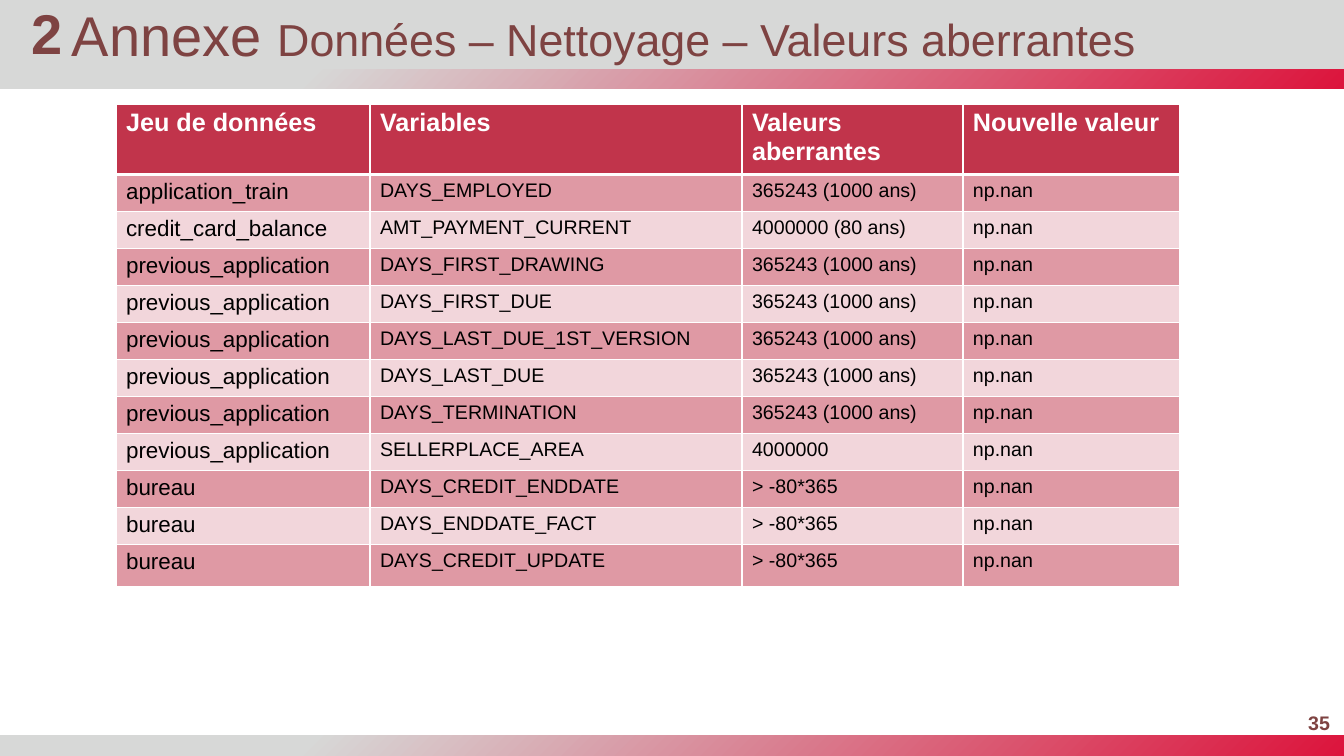
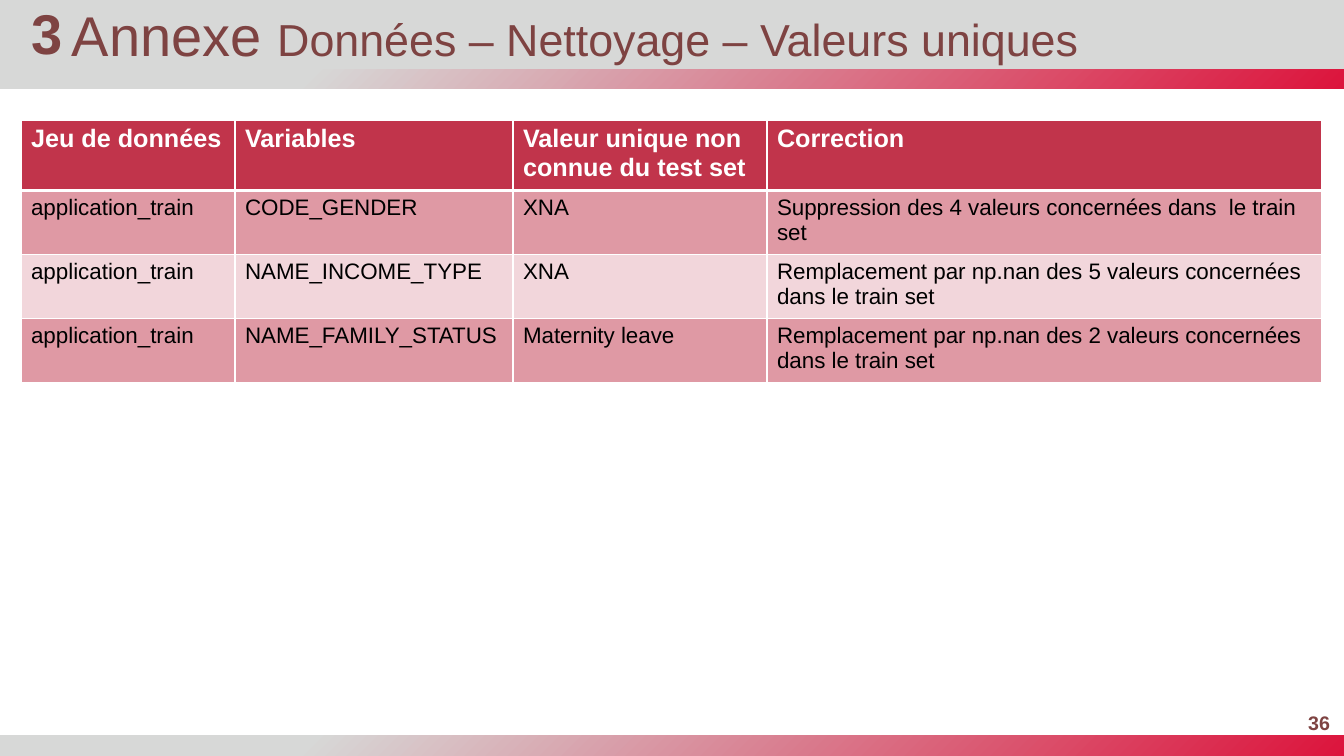
from lxml.etree import SubElement
from pptx import Presentation
from pptx.dml.color import RGBColor
from pptx.enum.shapes import MSO_SHAPE
from pptx.enum.text import MSO_ANCHOR, PP_ALIGN
from pptx.oxml import parse_xml
from pptx.oxml.ns import nsdecls, qn
from pptx.util import Pt

WIDTH, HEIGHT = 1344, 756
SCALE = 12192000 / WIDTH
FONT = "Arial"
COLORS = {
    "title": "7E4342",
    "band": "D7D8D7",
    "accent": "DC143C",
    "table": "C1344B",
    "white": "FFFFFF",
    "black": "000000",
}
TITLE_FORMAT = {"size": Pt(40), "bold": False}
SUBTITLE_FORMAT = {"size": Pt(32), "bold": False}
SECTION_FORMAT = {"size": Pt(40), "bold": True}
PAGE_FORMAT = {"size": Pt(14), "bold": True}
HEADER_FORMAT = {"size": Pt(18), "bold": True}
BAND_HEIGHT = 21
HEADER_HEIGHT = 70
STRIPE_ALPHAS = (50, 20)

MILLENNIUM = "365243 (1000 ans)"
FUTURE = "> -80*365"
SLIDES = [
    {
        "section": "2",
        "page": "35",
        "subtitle": "Données – Nettoyage – Valeurs aberrantes",
        "at": (116, 104),
        "columns": [254, 372, 221, 217],
        "rows": [HEADER_HEIGHT] + [37] * 10 + [42],
        "sizes": [16, 14, 14, 14],
        "cells": [
            ("Jeu de données", "Variables", "Valeurs aberrantes", "Nouvelle valeur"),
            ("application_train", "DAYS_EMPLOYED", MILLENNIUM, "np.nan"),
            ("credit_card_balance", "AMT_PAYMENT_CURRENT", "4000000 (80 ans)", "np.nan"),
            ("previous_application", "DAYS_FIRST_DRAWING", MILLENNIUM, "np.nan"),
            ("previous_application", "DAYS_FIRST_DUE", MILLENNIUM, "np.nan"),
            ("previous_application", "DAYS_LAST_DUE_1ST_VERSION", MILLENNIUM, "np.nan"),
            ("previous_application", "DAYS_LAST_DUE", MILLENNIUM, "np.nan"),
            ("previous_application", "DAYS_TERMINATION", MILLENNIUM, "np.nan"),
            ("previous_application", "SELLERPLACE_AREA", "4000000", "np.nan"),
            ("bureau", "DAYS_CREDIT_ENDDATE", FUTURE, "np.nan"),
            ("bureau", "DAYS_ENDDATE_FACT", FUTURE, "np.nan"),
            ("bureau", "DAYS_CREDIT_UPDATE", FUTURE, "np.nan"),
        ],
    },
    {
        "section": "3",
        "page": "36",
        "subtitle": "Données – Nettoyage – Valeurs uniques",
        "at": (21, 120),
        "columns": [214, 278, 254, 555],
        "rows": [HEADER_HEIGHT] + [64] * 3,
        "sizes": [16] * 4,
        "cells": [
            ("Jeu de données", "Variables", "Valeur unique non connue du test set", "Correction"),
            ("application_train", "CODE_GENDER", "XNA",
             "Suppression des 4 valeurs concernées dans  le train set"),
            ("application_train", "NAME_INCOME_TYPE", "XNA",
             "Remplacement par np.nan des 5 valeurs concernées dans le train set"),
            ("application_train", "NAME_FAMILY_STATUS", "Maternity leave",
             "Remplacement par np.nan des 2 valeurs concernées dans le train set"),
        ],
    },
]


def px(*lengths):
    return [round(length * SCALE) for length in lengths]


def add_run(paragraph, text, color, font_format):
    run = paragraph.add_run()
    run.text = text
    run.font.name = FONT
    run.font.color.rgb = RGBColor.from_string(COLORS[color])
    for name, value in font_format.items():
        setattr(run.font, name, value)


def add_text(slide, box, runs, alignment, anchor, line_spacing=None):
    frame = slide.shapes.add_textbox(*px(*box)).text_frame
    frame.word_wrap = True
    frame.vertical_anchor = anchor
    paragraph = frame.paragraphs[0]
    paragraph.alignment = alignment
    paragraph.line_spacing = line_spacing
    for text, font_format in runs:
        add_run(paragraph, text, "title", font_format)


def add_band(slide, top, height):
    shape = slide.shapes.add_shape(MSO_SHAPE.RECTANGLE, *px(0, top, WIDTH, height))
    shape.shadow.inherit = False
    shape.line.fill.background()
    shape.fill.solid()
    shape.fill.fore_color.rgb = RGBColor.from_string(COLORS["band"])
    return shape


def add_gradient_band(slide, top):
    properties = add_band(slide, top, BAND_HEIGHT).element.spPr
    gradient = parse_xml(
        f'<a:gradFill {nsdecls("a")} rotWithShape="1"><a:gsLst>'
        f'<a:gs pos="0"><a:srgbClr val="{COLORS["accent"]}"/></a:gs>'
        f'<a:gs pos="77000"><a:srgbClr val="{COLORS["band"]}"/></a:gs></a:gsLst>'
        '<a:path path="circle"><a:fillToRect l="100000" t="100000"/></a:path>'
        '<a:tileRect r="-100000" b="-100000"/></a:gradFill>'
    )
    properties.replace(properties.find(qn("a:solidFill")), gradient)


def add_frame(slide, content):
    add_text(slide, (1296, 703, 44, 40), [(content["page"], PAGE_FORMAT)],
             PP_ALIGN.RIGHT, MSO_ANCHOR.MIDDLE)
    add_gradient_band(slide, 68)
    add_band(slide, 0, 69)
    add_text(slide, (62, 7, 1282, 66),
             [("Annexe ", TITLE_FORMAT), (content["subtitle"], SUBTITLE_FORMAT)],
             PP_ALIGN.LEFT, MSO_ANCHOR.MIDDLE, 0.8)
    add_gradient_band(slide, HEIGHT - BAND_HEIGHT)
    add_text(slide, (22, -6, 25, 78), [(content["section"], SECTION_FORMAT)],
             PP_ALIGN.CENTER, MSO_ANCHOR.TOP)


def style_cell(cell, row):
    cell.fill.solid()
    cell.fill.fore_color.rgb = RGBColor.from_string(COLORS["table"])
    properties = cell._tc.get_or_add_tcPr()
    if row:
        alpha = STRIPE_ALPHAS[(row - 1) % 2]
        color = properties.find(qn("a:solidFill"))[0]
        SubElement(color, qn("a:alpha"), val=str(alpha * 1000))
    widths = {"L": 1, "R": 1, "T": 3 if row == 1 else 1, "B": 3 if row == 0 else 1}
    for index, (side, width) in enumerate(widths.items()):
        properties.insert(index, parse_xml(
            f'<a:ln{side} {nsdecls("a")} w="{Pt(width)}"><a:solidFill>'
            f'<a:srgbClr val="{COLORS["white"]}"/></a:solidFill></a:ln{side}>'
        ))


def add_data_table(slide, content):
    columns, rows, cells = content["columns"], content["rows"], content["cells"]
    table = slide.shapes.add_table(
        len(rows), len(columns), *px(*content["at"], sum(columns), sum(rows))
    ).table
    for column, width in zip(table.columns, px(*columns)):
        column.width = width
    for row, height in zip(table.rows, px(*rows)):
        row.height = height
    for row, texts in enumerate(cells):
        for column, text in enumerate(texts):
            cell = table.cell(row, column)
            style_cell(cell, row)
            body_format = {"size": Pt(content["sizes"][column]), "bold": False}
            add_run(cell.text_frame.paragraphs[0], text,
                    "black" if row else "white",
                    body_format if row else HEADER_FORMAT)


def main():
    presentation = Presentation()
    presentation.slide_width, presentation.slide_height = px(WIDTH, HEIGHT)
    for content in SLIDES:
        slide = presentation.slides.add_slide(presentation.slide_layouts[6])
        add_frame(slide, content)
        add_data_table(slide, content)
    presentation.save("out.pptx")


if __name__ == "__main__":
    main()
